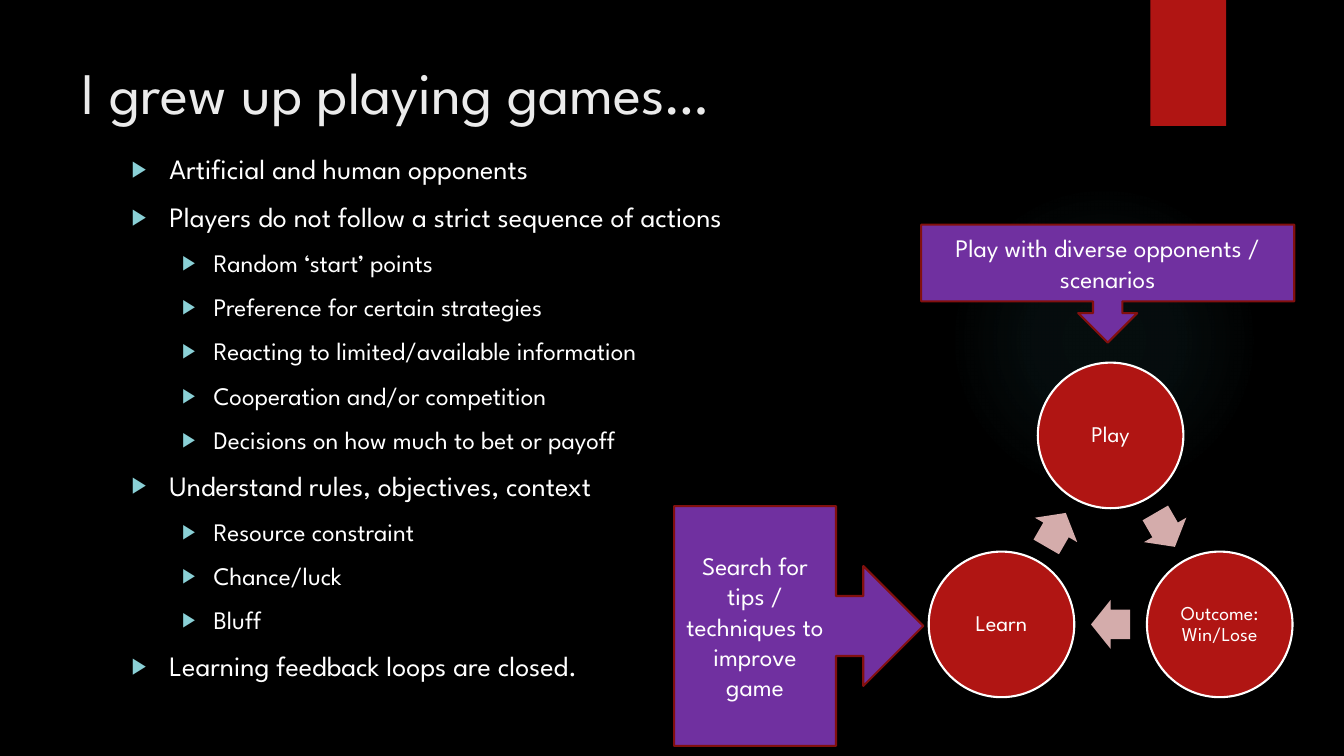
import math
from dataclasses import dataclass

import lxml.etree
import pptx
import pptx.dml.color
import pptx.enum.shapes
import pptx.enum.text
import pptx.oxml
import pptx.oxml.ns
import pptx.shapes.autoshape
import pptx.slide
import pptx.text.text
import pptx.util

Pt = pptx.util.Pt
RGB = pptx.dml.color.RGBColor
Kind = pptx.enum.shapes.MSO_SHAPE
Align = pptx.enum.text.PP_ALIGN
Anchor = pptx.enum.text.MSO_ANCHOR
Fit = pptx.enum.text.MSO_AUTO_SIZE
Shape = pptx.shapes.autoshape.Shape

FONT = "League Spartan"
BLACK = RGB(0x00, 0x00, 0x00)
WHITE = RGB(0xFF, 0xFF, 0xFF)
PALE = RGB(0xEB, 0xEB, 0xEB)
RED = RGB(0xB0, 0x15, 0x13)
DARK = RGB(0x82, 0x10, 0x0E)
PINK = RGB(0xD4, 0xAC, 0xAB)
PURPLE = RGB(0x70, 0x30, 0xA0)
TEAL = RGB(0x50, 0xB9, 0xC1)
AQUA = RGB(0x8A, 0xD0, 0xD6)


@dataclass(frozen=True)
class Box:
    left: float
    top: float
    width: float
    height: float


@dataclass(frozen=True)
class Level:
    size: float
    margin: float
    hang: float


@dataclass(frozen=True)
class Item:
    text: str
    level: int = 0


@dataclass(frozen=True)
class Stage:
    text: str
    size: float


@dataclass(frozen=True)
class Callout:
    kind: Kind
    box: Box
    text: str


LEVELS = (Level(20, 27, 27), Level(18, 58.5, 22.5))
ITEMS = (
    Item("Artificial and human opponents"),
    Item("Players do not follow a strict sequence of actions"),
    Item("Random ‘start’ points", 1),
    Item("Preference for certain strategies", 1),
    Item("Reacting to limited/available information", 1),
    Item("Cooperation and/or competition", 1),
    Item("Decisions on how much to bet or payoff", 1),
    Item("Understand rules, objectives, context"),
    Item("Resource constraint", 1),
    Item("Chance/luck", 1),
    Item("Bluff", 1),
    Item("Learning feedback loops are closed."),
)
STAGES = (Stage("Play", 16), Stage("Outcome: Win/Lose", 14), Stage("Learn", 16))
CALLOUTS = (
    Callout(Kind.DOWN_ARROW_CALLOUT, Box(658, 160.5, 266.5, 84.3),
            "Play with diverse opponents / scenarios"),
    Callout(Kind.RIGHT_ARROW_CALLOUT, Box(481.5, 361.5, 178, 171.3),
            "Search for tips / techniques to improve game"),
)
MID_X, MID_Y, RING, DISC = 793.3, 401, 90, 104


def style(para: pptx.text.text._Paragraph, size: float, color: RGB) -> None:
    for run in para.runs:
        run.font.name = FONT
        run.font.size = Pt(size)
        run.font.color.rgb = color


def draw(slide: pptx.slide.Slide, kind: Kind, box: Box, fill: RGB,
         line: RGB | None = None) -> Shape:
    shape = slide.shapes.add_shape(
        kind, Pt(box.left), Pt(box.top), Pt(box.width), Pt(box.height))
    shape.shadow.inherit = False
    shape.fill.solid()
    shape.fill.fore_color.rgb = fill
    if line is None:
        shape.line.fill.background()
    else:
        shape.line.color.rgb = line
        shape.line.width = Pt(1.5)
    return shape


def label(shape: Shape, text: str, size: float) -> None:
    frame = shape.text_frame
    frame.text = text
    frame.word_wrap = True
    frame.vertical_anchor = Anchor.MIDDLE
    frame.paragraphs[0].alignment = Align.CENTER
    style(frame.paragraphs[0], size, WHITE)


def glow(slide: pptx.slide.Slide) -> None:
    shape = draw(slide, Kind.OVAL, Box(677.5, 131.8, 221.8, 221.8), TEAL)
    stops = "".join(
        f'<a:gs pos="{pos}000"><a:srgbClr val="{TEAL}">'
        f'<a:alpha val="{alpha}000"/></a:srgbClr></a:gs>'
        for pos, alpha in ((0, 7), (36, 6), (69, 0)))
    grad = pptx.oxml.parse_xml(
        f'<a:gradFill {pptx.oxml.ns.nsdecls("a")}><a:gsLst>{stops}</a:gsLst>'
        '<a:path path="circle"><a:fillToRect l="50000" t="50000" '
        'r="50000" b="50000"/></a:path></a:gradFill>')
    props = shape._element.spPr
    props.replace(props.find(pptx.oxml.ns.qn("a:solidFill")), grad)


def bullet(para: pptx.text.text._Paragraph, level: Level) -> None:
    props = para._p.get_or_add_pPr()
    props.set("marL", str(Pt(level.margin)))
    props.set("indent", str(-Pt(level.hang)))
    qn = pptx.oxml.ns.qn
    tint = lxml.etree.SubElement(props, qn("a:buClr"))
    lxml.etree.SubElement(tint, qn("a:srgbClr"), val=str(AQUA))
    lxml.etree.SubElement(props, qn("a:buSzPct"), val="80000")
    lxml.etree.SubElement(props, qn("a:buFont"), typeface="Arial")
    lxml.etree.SubElement(props, qn("a:buChar"), char="▶")


def head(slide: pptx.slide.Slide) -> None:
    title = slide.shapes.title
    title.left, title.top = Pt(51), Pt(36)
    title.width, title.height = Pt(741), Pt(110)
    frame = title.text_frame
    frame.text = "I grew up playing games…"
    frame.auto_size = Fit.NONE
    frame.vertical_anchor = Anchor.TOP
    frame.paragraphs[0].alignment = Align.LEFT
    style(frame.paragraphs[0], 42, PALE)


def body(slide: pptx.slide.Slide) -> None:
    frame = slide.shapes.add_textbox(Pt(87), Pt(105), Pt(704), Pt(400)).text_frame
    frame.word_wrap = True
    for num, item in enumerate(ITEMS):
        para = frame.add_paragraph() if num else frame.paragraphs[0]
        para.text = item.text
        para.level = item.level
        bullet(para, LEVELS[item.level])
        para.space_before = Pt(10 if num else 0)
        style(para, LEVELS[item.level].size, WHITE)


def around(angle: float, dist: float, width: float, height: float) -> Box:
    turn = math.radians(angle)
    return Box(round(MID_X + dist * math.cos(turn) - width / 2, 2),
               round(MID_Y + dist * math.sin(turn) - height / 2, 2), width, height)


def cycle(slide: pptx.slide.Slide) -> None:
    for num, stage in enumerate(STAGES):
        angle = 120 * num - 90
        disc = draw(slide, Kind.OVAL, around(angle, RING, DISC, DISC), RED, WHITE)
        label(disc, stage.text, stage.size)
        frame = disc.text_frame
        frame.margin_left = frame.margin_right = Pt(1.5)
        frame.margin_top = frame.margin_bottom = Pt(1.5)
        frame.paragraphs[0].line_spacing = 0.9
        arrow = draw(slide, Kind.RIGHT_ARROW, around(angle + 60, RING / 2, 28, 35), PINK)
        arrow.adjustments[0] = 0.6
        arrow.rotation = angle + 150


def main() -> None:
    deck = pptx.Presentation()
    deck.slide_width, deck.slide_height = Pt(960), Pt(540)
    slide = deck.slides.add_slide(deck.slide_layouts[5])
    slide.background.fill.solid()
    slide.background.fill.fore_color.rgb = BLACK
    glow(slide)
    draw(slide, Kind.RECTANGLE, Box(821.8, 0, 54, 90), RED)
    head(slide)
    body(slide)
    cycle(slide)
    for note in CALLOUTS:
        label(draw(slide, note.kind, note.box, PURPLE, DARK), note.text, 18)
    deck.save("out.pptx")


if __name__ == "__main__":
    main()
